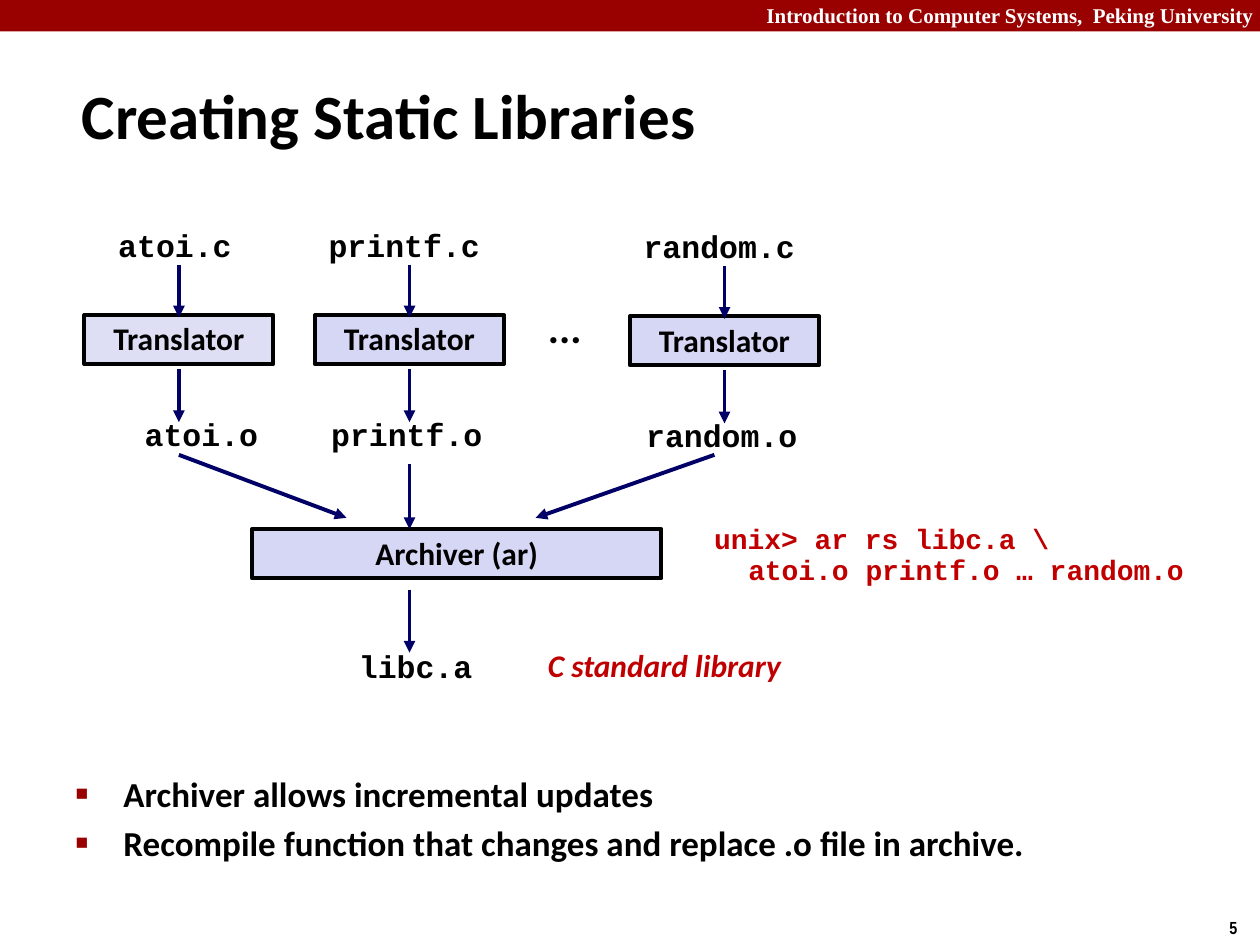
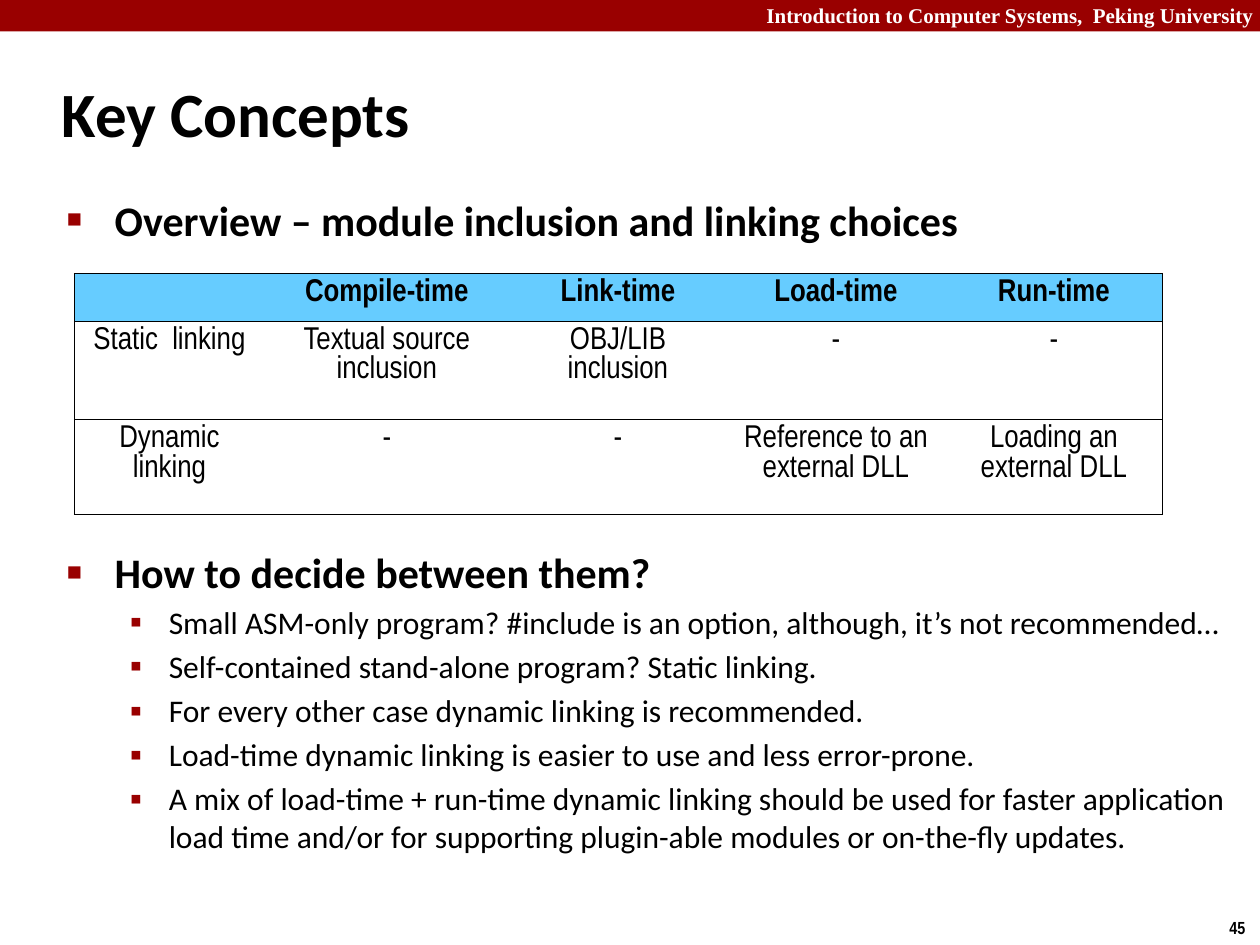
from lxml.etree import SubElement
from pptx import Presentation
from pptx.dml.color import RGBColor
from pptx.enum.shapes import MSO_CONNECTOR as Connector, MSO_SHAPE as Preset
from pptx.enum.text import MSO_ANCHOR as Anchor, MSO_AUTO_SIZE as AutoSize, PP_ALIGN as Align
from pptx.oxml.ns import qn
from pptx.util import Inches, Pt

COLORS = {"band": "990000", "white": "FFFFFF", "text": "000000", "arrow": "000066",
          "box": "D6D6F5", "first_box": "DEDFF5", "accent": "C00000", "header": "66CCFF"}
BODY, CODE, NARROW, SERIF = "Calibri", "Courier New", "Arial Narrow", "Times New Roman"
COURSE = "Introduction to Computer Systems,  Peking University"

MODULES = [
    {"name": "atoi", "x": 1.42, "drop": 0, "source_left": 0.84, "object_left": 1.05,
     "width": 1.1, "fill": "first_box"},
    {"name": "printf", "x": 3.25, "drop": 0, "source_left": 2.51, "object_left": 2.53,
     "width": 1.4, "fill": "box"},
    {"name": "random", "x": 5.75, "drop": 0.01, "source_left": 5.01, "object_left": 5.03,
     "width": 1.4, "fill": "box"},
]
ARCHIVE_ARROWS = [
    ((1.42, 3.61), (2.75, 4.11)),
    ((3.25, 3.68), (3.25, 4.2)),
    ((5.67, 3.61), (4.25, 4.11)),
    ((3.25, 4.68), (3.25, 5.18)),
]
COMMAND = ["unix> ar rs libc.a \\", "atoi.o printf.o … random.o"]
ARCHIVER_NOTES = [
    "Archiver allows incremental updates",
    "Recompile function that changes and replace .o file in archive.",
]

OVERVIEW = "Overview – module inclusion and linking choices"
QUESTION = "How to decide between them?"
ADVICE = [
    "Small ASM-only program? #include is an option, although, it’s not recommended…",
    "Self-contained stand-alone program? Static linking.",
    "For every other case dynamic linking is recommended.",
    "Load-time dynamic linking is easier to use and less error-prone.",
    "A mix of load-time + run-time dynamic linking should be used for faster application "
    "load time and/or for supporting plugin-able modules or on-the-fly updates.",
]
LINKING = [
    ["", "Compile-time", "Link-time", "Load-time", "Run-time"],
    ["Static  linking", "Textual source inclusion", "OBJ/LIB inclusion", "-", "-"],
    ["Dynamic linking", "-", "-", "Reference to an external DLL", "Loading an external DLL"],
]
COLUMN_WIDTHS = [1.51, 1.94, 1.73, 1.73, 1.73]
ROW_HEIGHTS = [0.37, 0.78, 0.75]
BULLETS = [("■", 60, 0.38, 0.38), ("▪", 110, 0.81, 0.31)]


def rgb(name):
    return RGBColor.from_string(COLORS[name])


def write(paragraph, text, size=18, font=BODY, color="text", bold=True, italic=False,
          align=Align.LEFT, spacing=None, before=0):
    paragraph.alignment = align
    paragraph.line_spacing = spacing
    paragraph.space_before = Pt(before)
    run = paragraph.add_run()
    run.text = text
    run.font.size = Pt(size)
    run.font.name = font
    run.font.bold = bold
    run.font.italic = italic
    run.font.color.rgb = rgb(color)


def place(shape, left, top, width, height):
    shape.left, shape.top = Inches(left), Inches(top)
    shape.width, shape.height = Inches(width), Inches(height)


def add_label(slide, at, text, wrap=False, **style):
    shape = slide.shapes.add_textbox(*map(Inches, at))
    shape.text_frame.word_wrap = wrap
    write(shape.text_frame.paragraphs[0], text, **style)
    return shape


def add_box(slide, at, fill, text=None):
    shape = slide.shapes.add_shape(Preset.RECTANGLE, *map(Inches, at))
    shape.shadow.inherit = False
    shape.fill.solid()
    shape.fill.fore_color.rgb = rgb(fill)
    if text is None:
        shape.line.fill.background()
        return
    shape.line.color.rgb = rgb("text")
    shape.line.width = Pt(2.25)
    shape.text_frame.vertical_anchor = Anchor.TOP
    write(shape.text_frame.paragraphs[0], text, align=Align.CENTER, spacing=0.98)


def add_arrow(slide, start, end):
    connector = slide.shapes.add_connector(Connector.STRAIGHT, *map(Inches, start + end))
    connector.line.color.rgb = rgb("arrow")
    connector.line.width = Pt(2.25)
    SubElement(connector.line._get_or_add_ln(), qn("a:tailEnd"), type="triangle")
    SubElement(connector._element.spPr, qn("a:effectLst"))


def indent(paragraph, margin, hanging=0):
    properties = paragraph._p.get_or_add_pPr()
    properties.set("marL", str(Inches(margin)))
    properties.set("indent", str(-Inches(hanging)))
    return properties


def add_bullet(paragraph, text, level=0, size=20, before=None, **style):
    paragraph.level = level
    write(paragraph, text, size=size, before=size * 0.2 if before is None else before, **style)
    mark, percent, margin, hanging = BULLETS[level]
    properties = indent(paragraph, margin, hanging)
    color = SubElement(properties, qn("a:buClr"))
    SubElement(color, qn("a:srgbClr"), val=COLORS["band"])
    SubElement(properties, qn("a:buSzPct"), val=str(percent * 1000))
    SubElement(properties, qn("a:buChar"), char=mark)


def fill_body(slide, at, items):
    body = slide.placeholders[1]
    place(body, *at)
    frame = body.text_frame
    frame.auto_size = AutoSize.NONE
    for index, (text, style) in enumerate(items):
        paragraph = frame.add_paragraph() if index else frame.paragraphs[0]
        add_bullet(paragraph, text, **style)


def add_slide(presentation, title, title_at, number):
    slide = presentation.slides.add_slide(presentation.slide_layouts[1])
    add_box(slide, (0, 0, 10, 0.25), "band")
    add_label(slide, (5.8, -0.03, 4.25, 0.3), COURSE, wrap=True, size=12, font=SERIF,
              color="white", align=Align.RIGHT)
    add_label(slide, (9.66, 7.23, 0.34, 0.27), number, size=10, font=NARROW)
    heading = slide.shapes.title
    place(heading, *title_at)
    heading.text_frame.auto_size = AutoSize.NONE
    heading.text_frame.vertical_anchor = Anchor.MIDDLE
    write(heading.text_frame.paragraphs[0], title, size=36)
    return slide


def set_borders(cell, sides):
    properties = cell._tc.get_or_add_tcPr()
    for side in "LRTB":
        line = SubElement(properties, qn(f"a:ln{side}"), w=str(Pt(0.75)))
        if side in sides:
            fill = SubElement(line, qn("a:solidFill"))
            SubElement(fill, qn("a:srgbClr"), val=COLORS["text"])
        else:
            SubElement(line, qn("a:noFill"))


def add_linking_table(slide, left, top):
    rows, columns = len(LINKING), len(LINKING[0])
    frame = slide.shapes.add_table(rows, columns, Inches(left), Inches(top),
                                   Inches(sum(COLUMN_WIDTHS)), Inches(sum(ROW_HEIGHTS)))
    table = frame.table
    table.first_row = table.horz_banding = False
    for column, width in zip(table.columns, COLUMN_WIDTHS):
        column.width = Inches(width)
    for row, height in zip(table.rows, ROW_HEIGHTS):
        row.height = Inches(height)
    for row, texts in enumerate(LINKING):
        for column, text in enumerate(texts):
            cell = table.cell(row, column)
            cell.margin_left = cell.margin_right = Inches(0.09)
            cell.margin_top = cell.margin_bottom = Inches(0.04)
            sides = "TB" + "L" * (column == 0) + "R" * (column == columns - 1)
            set_borders(cell, sides)
            if row == 0:
                cell.fill.solid()
                cell.fill.fore_color.rgb = rgb("header")
            else:
                cell.fill.background()
            if text:
                write(cell.text_frame.paragraphs[0], text, font=NARROW, bold=row == 0,
                      align=Align.CENTER)


def build_libraries(presentation):
    slide = add_slide(presentation, "Creating Static Libraries", (0.55, 0.48, 9.53, 0.86), "5")
    code = {"font": CODE, "spacing": 0.94}
    for module in MODULES:
        x, drop, width = module["x"], module["drop"], module["width"]
        add_label(slide, (module["source_left"], 1.77 + drop, width, 0.39),
                  module["name"] + ".c", **code)
        add_label(slide, (module["object_left"], 3.27 + drop, width, 0.39),
                  module["name"] + ".o", **code)
        add_box(slide, (x - 0.75, 2.5 + drop, 1.5, 0.39), module["fill"], "Translator")
        for top in (2.1 + drop, 2.93 + drop):
            add_arrow(slide, (x, top), (x, top + 0.42))
    add_label(slide, (4.25, 2.36, 0.48, 0.5), "...", size=24, spacing=0.98)
    add_box(slide, (2, 4.2, 3.25, 0.39), "box", "Archiver (ar)")
    for start, end in ARCHIVE_ARROWS:
        add_arrow(slide, start, end)
    add_label(slide, (2.75, 5.11, 1.1, 0.39), "libc.a", **code)
    add_label(slide, (4.25, 5.09, 3.25, 0.4), "C standard library", wrap=True,
              color="accent", italic=True, spacing=0.98)
    command = add_label(slide, (5.57, 4.11, 3.98, 0.61), COMMAND[0], size=16,
                        color="accent", **code)
    continuation = command.text_frame.add_paragraph()
    write(continuation, COMMAND[1], size=16, color="accent", **code)
    indent(continuation, 0.27)
    fill_body(slide, (0.5, 6.08, 9.09, 1.17), [(text, {}) for text in ARCHIVER_NOTES])


def build_concepts(presentation):
    slide = add_slide(presentation, "Key Concepts", (0.39, 0.48, 8.3, 0.83), "45")
    items = [(OVERVIEW, {"size": 24}), (QUESTION, {"size": 24, "before": 172.5})]
    items += [(text, {"level": 1, "size": 18, "bold": False}) for text in ADVICE]
    fill_body(slide, (0.43, 1.49, 9.57, 5.44), items)
    add_linking_table(slide, 0.59, 2.17)


presentation = Presentation()
presentation.slide_width, presentation.slide_height = Inches(10), Inches(7.5)
build_libraries(presentation)
build_concepts(presentation)
presentation.save("out.pptx")
